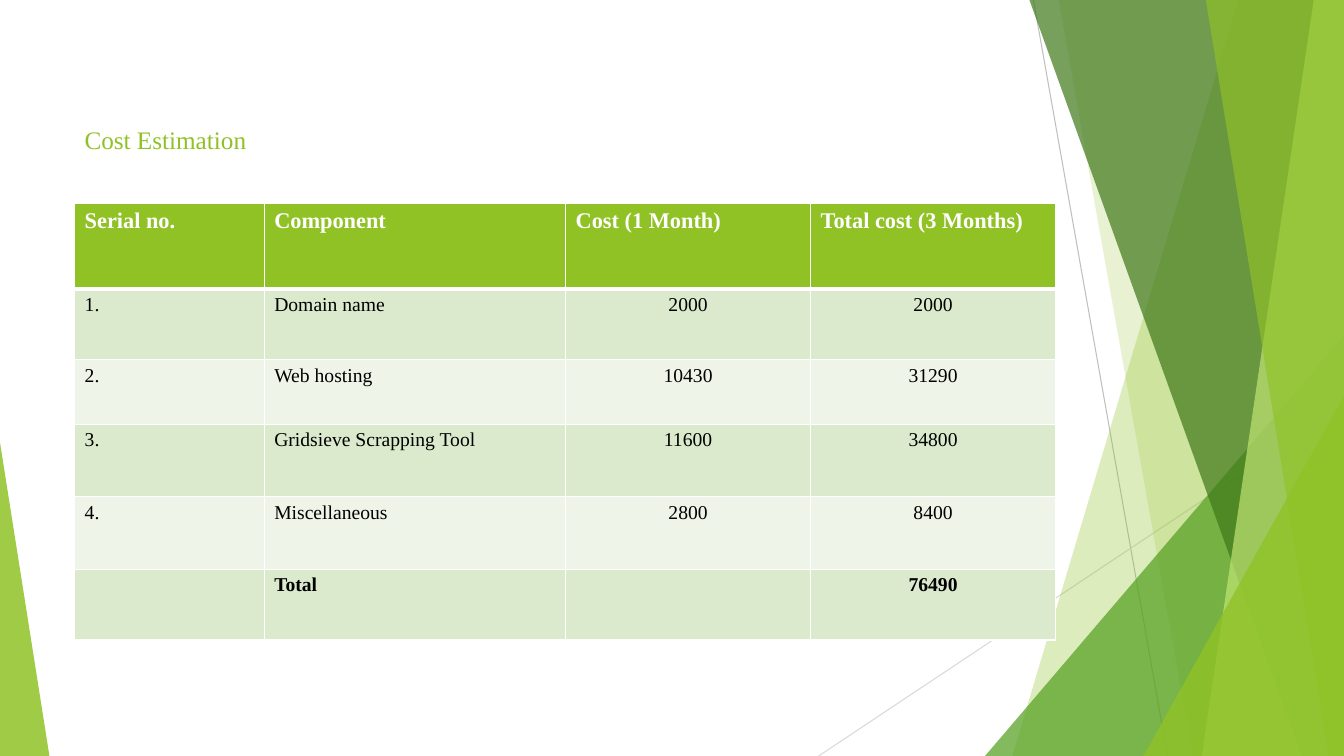
"""Build the cost estimation slide with its faceted green backdrop."""
from dataclasses import dataclass

from lxml import etree
from pptx import Presentation
from pptx.dml.color import RGBColor
from pptx.enum.shapes import MSO_CONNECTOR, MSO_SHAPE
from pptx.enum.text import MSO_ANCHOR, PP_ALIGN
from pptx.oxml.ns import qn
from pptx.util import Inches, Pt

STRAIGHT = MSO_CONNECTOR.STRAIGHT
TRIANGLE = MSO_SHAPE.ISOSCELES_TRIANGLE
TOP = MSO_ANCHOR.TOP
LEFT, CENTER = PP_ALIGN.LEFT, PP_ALIGN.CENTER

WHITE = RGBColor(0xFF, 0xFF, 0xFF)
BLACK = RGBColor(0x00, 0x00, 0x00)
GREEN = RGBColor(0x90, 0xC2, 0x26)
LEAF = RGBColor(0x54, 0xA0, 0x21)
FOREST = RGBColor(0x3F, 0x78, 0x19)
LIME = RGBColor(0xC0, 0xE4, 0x74)
MINT = RGBColor(0xDB, 0xE9, 0xCD)
PALE_MINT = RGBColor(0xEE, 0xF4, 0xE8)
GRAY = RGBColor(0xBF, 0xBF, 0xBF)
LIGHT_GRAY = RGBColor(0xD9, 0xD9, 0xD9)

FONT = "Times New Roman"
WIDTH, HEIGHT = 13.33, 7.5


@dataclass
class Ray:
    start: tuple[float, float]
    end: tuple[float, float]
    color: RGBColor


@dataclass
class Band:
    top_x: float
    bottom_x: float
    color: RGBColor
    opacity: int


@dataclass
class Wedge:
    left: float
    top: float
    width: float
    apex: float
    color: RGBColor
    opacity: int


RAYS = [
    Ray((10.25, 0), (11.58, HEIGHT), GRAY),
    Ray((WIDTH, 4.03), (8.12, HEIGHT), LIGHT_GRAY),
]
FACETS = [
    Band(12.28, 10.04, GREEN, 30),
    Band(10.5, 11.83, GREEN, 20),
    Wedge(9.77, 3.33, 3.56, 1, LEAF, 72),
    Band(10.21, 12.91, FOREST, 70),
    Band(13.03, 11.92, LIME, 70),
    Band(11.96, 13.18, GREEN, 65),
    Wedge(11.34, 3.93, 1.99, 1, GREEN, 80),
    Wedge(0, 4.39, 0.49, 0, GREEN, 85),
]

COLUMN_WIDTHS = [1.88, 2.99, 2.43, 2.43]
ROW_HEIGHTS = [0.85, 0.7, 0.64, 0.72, 0.72, 0.7]
COSTS = [
    ("Serial no.", "Component", "Cost (1 Month)", "Total cost (3 Months)"),
    ("1.", "Domain name", "2000", "2000"),
    ("2.", "Web hosting", "10430", "31290"),
    ("3.", "Gridsieve Scrapping Tool", "11600", "34800"),
    ("4.", "Miscellaneous", "2800", "8400"),
    ("", "Total", "", "76490"),
]


def draw_ray(shapes, ray: Ray) -> None:
    """Draw one thin backdrop line."""
    points = [Inches(value) for value in ray.start + ray.end]
    line = shapes.add_connector(STRAIGHT, *points)
    line.line.color.rgb = ray.color
    line.line.width = Pt(0.75)
    etree.SubElement(line._element.spPr, qn("a:effectLst"))


def draw_facet(shapes, facet: Band | Wedge) -> None:
    """Draw one translucent facet of the backdrop."""
    if isinstance(facet, Band):
        outline = [(facet.top_x, 0), (WIDTH, 0), (WIDTH, HEIGHT), (facet.bottom_x, HEIGHT)]
        start, *corners = [(Inches(x), Inches(y)) for x, y in outline]
        builder = shapes.build_freeform(*start)
        builder.add_line_segments(corners, close=True)
        piece = builder.convert_to_shape()
    else:
        piece = shapes.add_shape(TRIANGLE, Inches(facet.left), Inches(facet.top),
                                 Inches(facet.width), Inches(HEIGHT - facet.top))
        piece.adjustments[0] = facet.apex
    piece.shadow.inherit = False
    piece.line.fill.background()
    piece.fill.solid()
    piece.fill.fore_color.rgb = facet.color
    color = piece._element.spPr.find(qn("a:solidFill"))[0]
    etree.SubElement(color, qn("a:alpha"), val=str(facet.opacity * 1000))


def write(paragraph, text: str, size: int, color: RGBColor, bold: bool = False) -> None:
    """Add one formatted run to a paragraph."""
    run = paragraph.add_run()
    run.text = text
    run.font.name = FONT
    run.font.size = Pt(size)
    run.font.bold = bold
    run.font.color.rgb = color


def add_borders(cell, row: int) -> None:
    """Give a cell white borders, heavier under the header."""
    heavy_side = {0: "lnB", 1: "lnT"}.get(row)
    properties = cell._tc.get_or_add_tcPr()
    for side in ("lnL", "lnR", "lnT", "lnB"):
        width = Pt(3 if side == heavy_side else 1)
        border = etree.SubElement(properties, qn(f"a:{side}"), w=str(width))
        fill = etree.SubElement(border, qn("a:solidFill"))
        etree.SubElement(fill, qn("a:srgbClr"), val=str(WHITE))


def draw_title(shapes) -> None:
    """Write the slide title."""
    title = shapes.add_textbox(Inches(0.74), Inches(1.16), Inches(9.4), Inches(0.77))
    frame = title.text_frame
    frame.word_wrap = True
    frame.vertical_anchor = TOP
    frame.margin_top = Inches(0.07)
    write(frame.paragraphs[0], "Cost Estimation", 18, GREEN)


def draw_costs(shapes) -> None:
    """Draw the cost table."""
    costs = shapes.add_table(len(COSTS), len(COLUMN_WIDTHS), Inches(0.74), Inches(2.02),
                             Inches(sum(COLUMN_WIDTHS)), Inches(sum(ROW_HEIGHTS))).table
    for column, width in zip(costs.columns, COLUMN_WIDTHS):
        column.width = Inches(width)
    for row, (height, entries) in enumerate(zip(ROW_HEIGHTS, COSTS)):
        costs.rows[row].height = Inches(height)
        header = row == 0
        bold = header or row == len(COSTS) - 1
        background = GREEN if header else MINT if row % 2 else PALE_MINT
        for column, entry in enumerate(entries):
            cell = costs.cell(row, column)
            add_borders(cell, row)
            cell.fill.solid()
            cell.fill.fore_color.rgb = background
            paragraph = cell.text_frame.paragraphs[0]
            paragraph.alignment = CENTER if column >= 2 and not header else LEFT
            if entry:
                write(paragraph, entry, 16 if header else 14, WHITE if header else BLACK, bold)


def main() -> None:
    """Build and save the slide."""
    deck = Presentation()
    deck.slide_width, deck.slide_height = Inches(WIDTH), Inches(HEIGHT)
    shapes = deck.slides.add_slide(deck.slide_layouts[6]).shapes
    for ray in RAYS:
        draw_ray(shapes, ray)
    for facet in FACETS:
        draw_facet(shapes, facet)
    draw_title(shapes)
    draw_costs(shapes)
    deck.save("out.pptx")


main()
